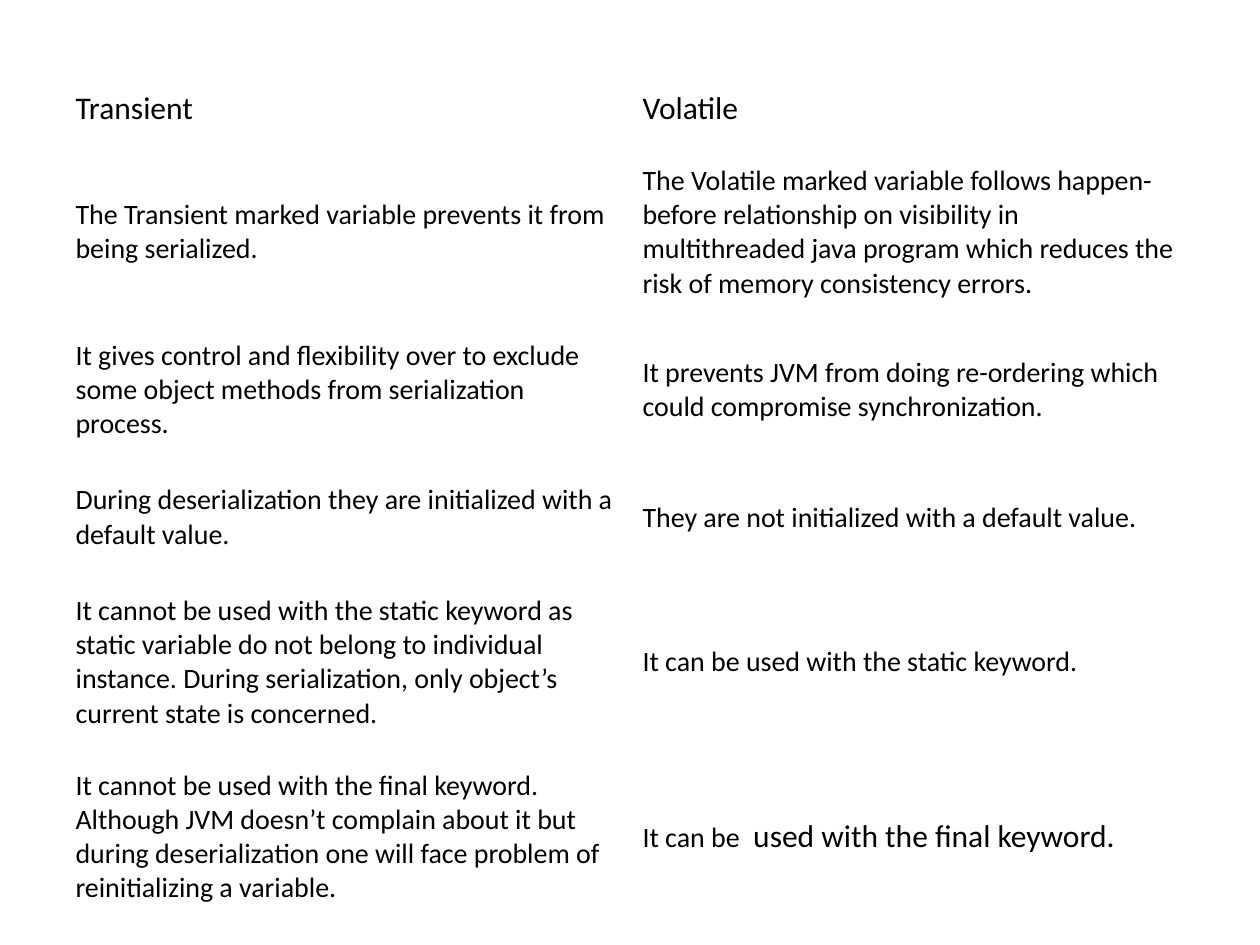
from pptx import Presentation, util as u
from pptx.dml import color
from pptx.enum import text

# Content: each cell is a list of (words, size) runs
HEAD, BODY = 18, 16
ROWS = [
    ([("Transient", HEAD)], [("Volatile", HEAD)]),
    ([("The Transient marked variable prevents it from being serialized.", BODY)],
     [("The Volatile marked variable follows happen-before relationship on visibility in "
       "multithreaded java program which reduces the risk of memory consistency errors.", BODY)]),
    ([("It gives control and flexibility over to exclude some object methods from "
       "serialization process.", BODY)],
     [("It prevents JVM from doing re-ordering which could compromise synchronization. ", BODY)]),
    ([("During deserialization they are initialized with a default value. ", BODY)],
     [("They are not initialized with a default value.", BODY)]),
    ([("It cannot be used with the static keyword as static variable do not belong to "
       "individual instance. During serialization, only object’s current state is "
       "concerned. ", BODY)],
     [("It can be used with the static keyword.", BODY)]),
    ([("It cannot be used with the final keyword. Although JVM doesn’t complain about it but "
       "during deserialization one will face problem of reinitializing a variable. ", BODY)],
     [("It can be ", BODY), (" used with the final keyword.", HEAD)]),
]
COLORS = {"text": "000000", "cell": "FFFFFF"}
FONT = "Calibri"

# Layout in inches
WIDTH, HEIGHT = 10, 7.5
MARGIN, TOP = 0.05 * WIDTH, 0.58
ROW_HEIGHTS = [0.57, 1.18, 0.91, 0.91, 1.18, 1.18]
SIDE_INSET, HEAD_INSET, BODY_INSET = 0.1, 0.1, 0.15


def fill_cell(cell, runs, inset):
    cell.fill.solid()
    cell.fill.fore_color.rgb = color.RGBColor.from_string(COLORS["cell"])
    cell.vertical_anchor = text.MSO_ANCHOR.MIDDLE
    cell.margin_left = cell.margin_right = u.Inches(SIDE_INSET)
    cell.margin_top = cell.margin_bottom = u.Inches(inset)
    paragraph = cell.text_frame.paragraphs[0]
    paragraph.alignment = text.PP_ALIGN.LEFT
    for words, size in runs:
        run = paragraph.add_run()
        run.text = words
        run.font.name = FONT
        run.font.size = u.Pt(size)
        run.font.bold = False
        run.font.color.rgb = color.RGBColor.from_string(COLORS["text"])


def main():
    presentation = Presentation()
    presentation.slide_width, presentation.slide_height = u.Inches(WIDTH), u.Inches(HEIGHT)
    slide = presentation.slides.add_slide(presentation.slide_layouts[6])

    # Comparison table
    table = slide.shapes.add_table(
        len(ROWS), len(ROWS[0]), u.Inches(MARGIN), u.Inches(TOP),
        u.Inches(WIDTH - 2 * MARGIN), u.Inches(sum(ROW_HEIGHTS))).table
    table.first_row = table.horz_banding = False
    for r, (row, height) in enumerate(zip(ROWS, ROW_HEIGHTS)):
        table.rows[r].height = u.Inches(height)
        for c, runs in enumerate(row):
            fill_cell(table.cell(r, c), runs, BODY_INSET if r else HEAD_INSET)

    presentation.save("out.pptx")


if __name__ == "__main__":
    main()
